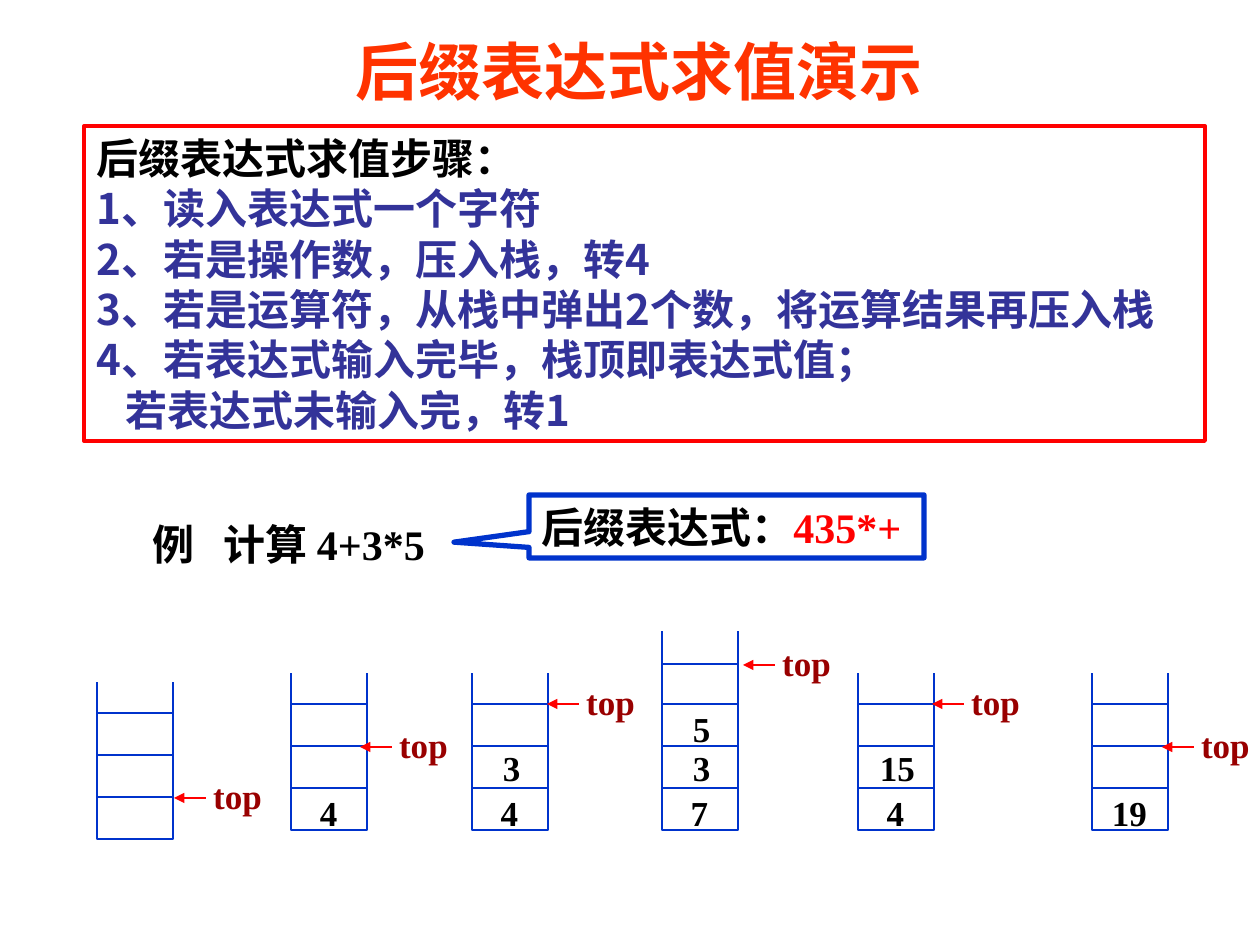
import dataclasses

import pptx
import pptx.dml.color
import pptx.enum.shapes
import pptx.enum.text
import pptx.oxml.ns
import pptx.util
from lxml import etree

PX = 914400 // 126  # EMU in one px
SHAPE = pptx.enum.shapes.MSO_SHAPE
ANCHOR = pptx.enum.text.MSO_ANCHOR
ALIGN = pptx.enum.text.PP_ALIGN
CELL_W, CELL_H, CELLS = 76, 42, 3


@dataclasses.dataclass(frozen=True)
class Theme:
    title: str = "FF3300"
    ink: str = "000000"
    step: str = "333399"
    red: str = "FF0000"
    pointer: str = "990000"
    blue: str = "0033CC"
    paper: str = "FFFFFF"
    title_size: int = 36
    text_size: int = 24
    stack_size: int = 20
    title_font: str = "Arial Narrow"
    cjk: str = "Noto Sans CJK SC"
    serif: str = "Times New Roman"


def rgb(value):
    return pptx.dml.color.RGBColor.from_string(value)


def add_xml(parent, tag, **attributes):
    return etree.SubElement(parent, pptx.oxml.ns.qn(tag), **attributes)


class Board:
    def __init__(self, slide, theme):
        self.slide = slide
        self.theme = theme
        self.shapes = slide.shapes

    def start_group(self):
        self.shapes = self.slide.shapes.add_group_shape().shapes

    def end_group(self):
        self.shapes = self.slide.shapes

    def place(self, shape, box):
        shape.left, shape.top, shape.width, shape.height = (v * PX for v in box)

    def frame(self, shape, anchor=ANCHOR.MIDDLE, wrap=True):
        text_frame = shape.text_frame
        text_frame.auto_size = pptx.enum.text.MSO_AUTO_SIZE.NONE
        text_frame.word_wrap = wrap
        text_frame.vertical_anchor = anchor
        return text_frame

    def style(self, run, size, color, font):
        run.font.size = pptx.util.Pt(size)
        run.font.bold = True
        run.font.color.rgb = rgb(color)
        run.font.name = font
        add_xml(run.font._element, "a:ea", typeface=self.theme.cjk)

    def outline(self, shape, color, points):
        shape.line.color.rgb = rgb(color)
        shape.line.width = pptx.util.Pt(points)

    def title(self, text, box):
        heading = self.slide.shapes.title
        self.place(heading, box)
        text_frame = self.frame(heading, ANCHOR.TOP)
        text_frame.text = text
        paragraph = text_frame.paragraphs[0]
        paragraph.alignment = ALIGN.LEFT
        self.style(paragraph.runs[0], self.theme.title_size, self.theme.title,
                   self.theme.title_font)

    def steps(self, lines, box):
        """lines: (text, colour, left indent)"""
        body = self.slide.placeholders[1]
        self.place(body, box)
        self.outline(body, self.theme.red, 2.25)
        text_frame = self.frame(body)
        text_frame.text = "\n".join(text for text, _, _ in lines)
        for paragraph, (_, color, indent) in zip(text_frame.paragraphs, lines):
            properties = paragraph._p.get_or_add_pPr()
            properties.set("marL", str(indent * PX))
            properties.set("indent", "0")
            add_xml(properties, "a:buNone")
            paragraph.space_before = pptx.util.Pt(0)
            self.style(paragraph.runs[0], self.theme.text_size, color, self.theme.cjk)

    def label(self, text, box, size, color, align=ALIGN.CENTER, tab=None):
        caption = self.shapes.add_textbox(*(v * PX for v in box))
        text_frame = self.frame(caption, wrap=False)
        text_frame.text = text
        paragraph = text_frame.paragraphs[0]
        paragraph.alignment = align
        if tab:
            stops = add_xml(paragraph._p.get_or_add_pPr(), "a:tabLst")
            add_xml(stops, "a:tab", pos=str(tab * PX), algn="l")
        for run in paragraph.runs:
            self.style(run, size, color, self.theme.serif)

    def box(self, kind, box, points):
        shape = self.shapes.add_shape(kind, *(v * PX for v in box))
        shape.shadow.inherit = False
        shape.fill.solid()
        shape.fill.fore_color.rgb = rgb(self.theme.paper)
        self.outline(shape, self.theme.blue, points)
        return shape

    def callout(self, parts, box, tip):
        """parts: (text, colour); tip: offset from the centre as a share of the size"""
        bubble = self.box(SHAPE.RECTANGULAR_CALLOUT, box, 3)
        bubble.adjustments[0], bubble.adjustments[1] = tip
        paragraph = self.frame(bubble, wrap=False).paragraphs[0]
        paragraph.alignment = ALIGN.LEFT
        for text, color in parts:
            run = paragraph.add_run()
            run.text = text
            self.style(run, self.theme.text_size, color, self.theme.serif)

    def line(self, start, end, color, points, arrow=False):
        connector = self.shapes.add_connector(
            pptx.enum.shapes.MSO_CONNECTOR.STRAIGHT, *(v * PX for v in start + end))
        self.outline(connector, color, points)
        if arrow:
            add_xml(connector.line._get_or_add_ln(), "a:tailEnd", type="triangle")
        add_xml(connector._element.spPr, "a:effectLst")

    def stack(self, left, base, rail, tip, values=(), rung=None):
        theme = self.theme
        self.start_group()
        # Side rails and cells
        for x in (left, left + CELL_W):
            self.line((x, base), (x, base - rail), theme.blue, 1.5)
        for row in range(1, CELLS + 1):
            self.box(SHAPE.RECTANGLE, (left, base - row * CELL_H, CELL_W, CELL_H), 1.5)
        if rung:
            self.line((left, rung), (left + CELL_W, rung), theme.blue, 0.75)
        # Pointer to the top
        x, y = tip
        self.line((x + 32, y), (x, y), theme.red, 0.75, arrow=True)
        self.label("top", (x + 27, y - 30, 73, 55), theme.stack_size, theme.pointer)
        # Values from the bottom up
        for value, rise, shift in zip(values, (45, 90, 129), (16, 18, 18)):
            self.label(value, (left + shift, base - rise, 43, 55),
                       theme.stack_size, theme.ink)
        self.end_group()


def main():
    deck = pptx.Presentation()
    deck.slide_width, deck.slide_height = pptx.util.Inches(10), pptx.util.Inches(7.5)
    theme = Theme()
    board = Board(deck.slides.add_slide(deck.slide_layouts[1]), theme)

    # Title and steps
    board.title("后缀表达式求值演示", (343, 26, 645, 88))
    board.steps([
        ("后缀表达式求值步骤：", theme.ink, 0),
        ("1、读入表达式一个字符", theme.step, 0),
        ("2、若是操作数，压入栈，转4", theme.step, 0),
        ("3、若是运算符，从栈中弹出2个数，将运算结果再压入栈", theme.step, 0),
        ("4、若表达式输入完毕，栈顶即表达式值；", theme.step, 0),
        ("若表达式未输入完，转1", theme.step, 29),
    ], (84, 126, 1121, 315))

    # Example and its postfix form
    board.label("例\t计算 4+3*5", (140, 512, 307, 63), theme.text_size, theme.ink,
                align=ALIGN.LEFT, tab=71)
    board.callout([("后缀表达式：", theme.ink), ("435*+", theme.red)],
                  (529, 495, 395, 63), (-0.69, 0.25))

    # Stack after each step
    board.stack(97, 839, 157, (174, 798))
    board.stack(291, 830, 157, (360, 747), ["4"])
    board.stack(472, 830, 157, (547, 704), ["4", "3"])
    board.stack(662, 830, 199, (743, 665), ["7", "3", "5"], rung=664)
    board.stack(858, 830, 157, (932, 704), ["4", "15"])
    board.stack(1092, 830, 157, (1162, 747), ["19"])

    deck.save("out.pptx")


if __name__ == "__main__":
    main()
